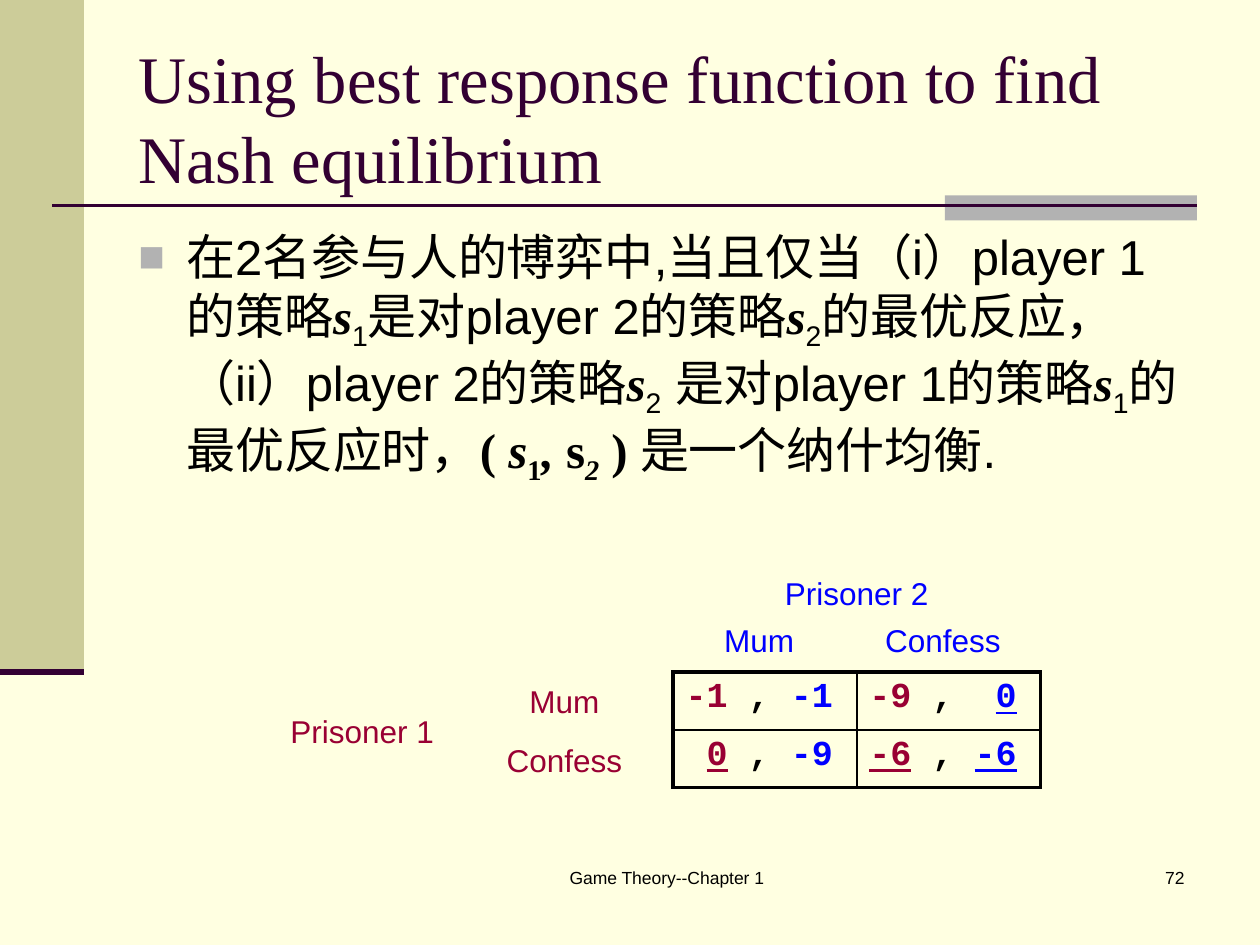
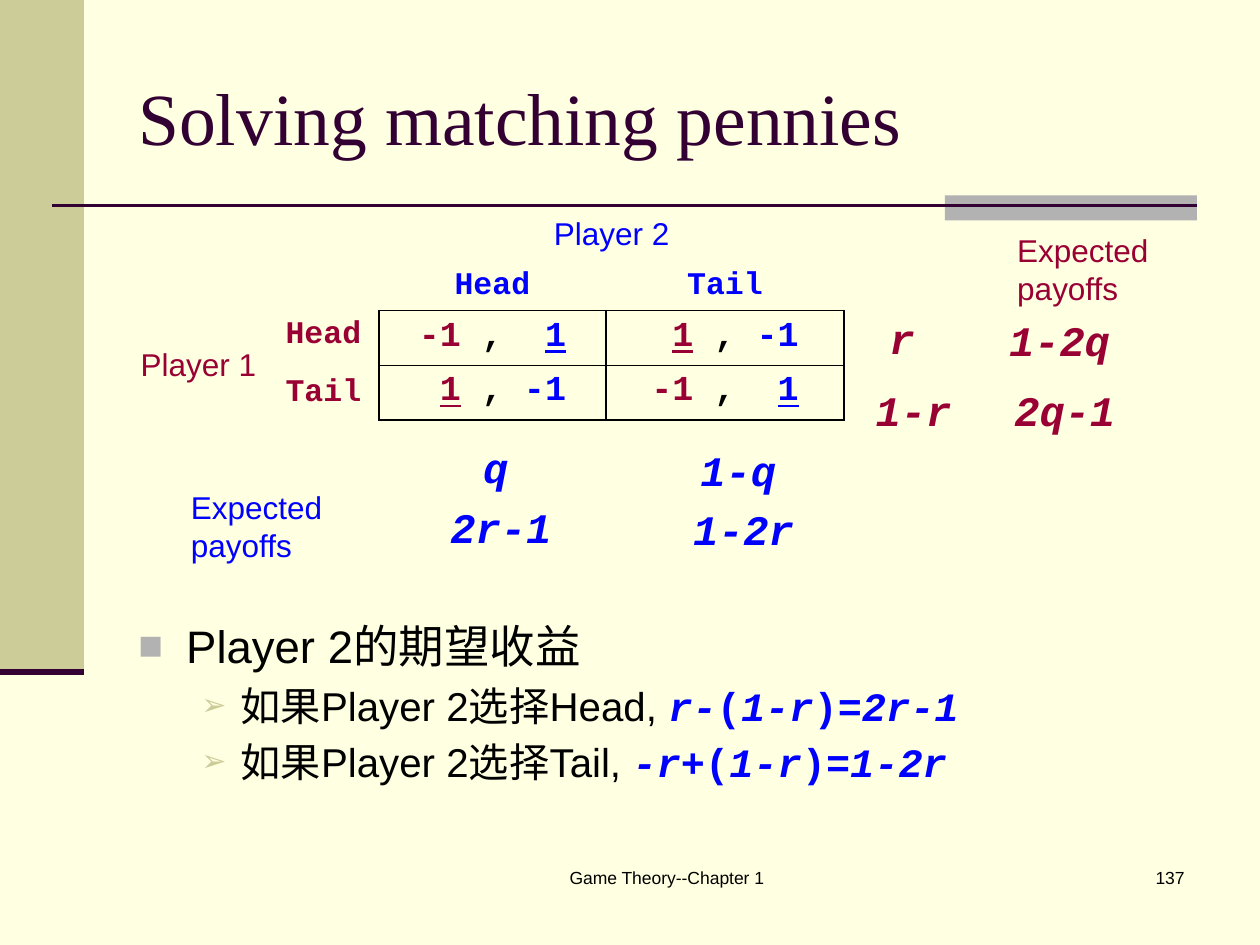
from collections import namedtuple
from lxml.etree import SubElement
from pptx import Presentation
from pptx.dml.color import RGBColor
from pptx.enum.shapes import MSO_CONNECTOR, MSO_SHAPE
from pptx.enum.text import MSO_ANCHOR, PP_ALIGN
from pptx.oxml.ns import qn
from pptx.util import Inches, Pt

IVORY = RGBColor(0xFF, 0xFF, 0xE1)
KHAKI = RGBColor(0xCC, 0xCC, 0x99)
SILVER = RGBColor(0xB2, 0xB2, 0xB2)
PLUM = RGBColor(0x33, 0x00, 0x33)
BLACK = RGBColor(0x00, 0x00, 0x00)
CRIMSON = RGBColor(0x99, 0x00, 0x33)
BLUE = RGBColor(0x00, 0x00, 0xFF)

SANS, SERIF, MONO = "Arial", "Times New Roman", "Courier New"
COLUMNS, ROWS = 120, 90
CELL = Inches(10) / COLUMNS
NO_STYLE = "{2D5ABB26-0587-4C30-8999-92F81FD0307C}"
LABEL_HEIGHT = 4.8

SYMBOL = dict(font=SERIF, bold=True, italic=True)
STRONG = dict(font=SERIF, bold=True)
SUBSCRIPT = dict(baseline=-25)
FORMULA = dict(font=MONO, color=BLUE, bold=True, italic=True)
UPRIGHT = dict(FORMULA, italic=False)

Box = namedtuple("Box", "left top width height")
Bullet = namedtuple("Bullet", "mark color percent margin indent")
SQUARE = Bullet("■", SILVER, 90, 0.38, -0.38)
ARROW = Bullet("➢", KHAKI, 75, 0.81, -0.31)

TITLE = Box(12, 3.6, 102, 15)


def inside(box, left, top, width, height):
    return Box(box.left + left, box.top + top, width, height)


def lengths(box):
    return [round(value * CELL) for value in box]


def write(paragraph, spans, size=18, font=SANS, color=BLACK, bold=False, italic=False,
          underline=False, baseline=0, align=PP_ALIGN.LEFT):
    base = dict(size=size, font=font, color=color, bold=bold, italic=italic,
                underline=underline, baseline=baseline)
    paragraph.alignment = align
    for text, changes in [(spans, {})] if isinstance(spans, str) else spans:
        style = {**base, **changes}
        span = paragraph.add_run()
        span.text = text
        span.font.size = Pt(style["size"])
        span.font.name = style["font"]
        span.font.color.rgb = style["color"]
        span.font.bold = style["bold"]
        span.font.italic = style["italic"]
        span.font.underline = style["underline"]
        if style["baseline"]:
            span.font._element.set("baseline", str(style["baseline"] * 1000))


def add_text(page, box, spans, anchor=MSO_ANCHOR.TOP, **style):
    frame = page.shapes.add_textbox(*lengths(box)).text_frame
    frame.word_wrap = True
    frame.vertical_anchor = anchor
    write(frame.paragraphs[0], spans, **style)
    return frame


def add_bullet(paragraph, bullet):
    properties = paragraph._p.get_or_add_pPr()
    properties.set("marL", str(Inches(bullet.margin)))
    properties.set("indent", str(Inches(bullet.indent)))
    color = SubElement(properties, qn("a:buClr"))
    SubElement(color, qn("a:srgbClr"), val=str(bullet.color))
    SubElement(properties, qn("a:buSzPct"), val=str(bullet.percent * 1000))
    SubElement(properties, qn("a:buFont"), typeface=SANS)
    SubElement(properties, qn("a:buChar"), char=bullet.mark)


def add_body(page, box, items):
    frame = add_text(page, box, [])
    for index, (bullet, size, spans) in enumerate(items):
        paragraph = frame.add_paragraph() if index else frame.paragraphs[0]
        if index:
            paragraph.space_before = Pt(size * 0.2)
        add_bullet(paragraph, bullet)
        write(paragraph, spans, size=size)


def add_band(page, box, color):
    band = page.shapes.add_shape(MSO_SHAPE.RECTANGLE, *lengths(box))
    band.shadow.inherit = False
    band.fill.solid()
    band.fill.fore_color.rgb = color
    band.line.fill.background()


def add_rule(page, left, right, row, width):
    ends = lengths((left, row, right, row))
    rule = page.shapes.add_connector(MSO_CONNECTOR.STRAIGHT, *ends)
    rule.line.color.rgb = PLUM
    rule.line.width = Pt(width)
    SubElement(rule._element.spPr, qn("a:effectLst"))


def add_page(deck, title, title_size, number):
    page = deck.slides.add_slide(deck.slide_layouts[6])
    page.background.fill.solid()
    page.background.fill.fore_color.rgb = IVORY
    add_band(page, Box(0, 0, 8, 64), KHAKI)
    add_band(page, Box(90, 18.6, 24, 2.4), SILVER)
    add_rule(page, 5, 114, 19.6, 1.5)
    add_rule(page, 0, 8, 64, 3.5)
    add_text(page, Box(44, 82, 39, 6), "Game Theory--Chapter 1", size=10, align=PP_ALIGN.CENTER)
    add_text(page, Box(89, 82, 25, 6), number, size=10, align=PP_ALIGN.RIGHT)
    add_text(page, TITLE, title, anchor=MSO_ANCHOR.MIDDLE, size=title_size, font=SERIF, color=PLUM)
    return page


def add_grid(page, box, widths, row_count):
    table = page.shapes.add_table(row_count, len(widths), *lengths(box)).table
    table.first_row = table.horz_banding = False
    table._tbl.tblPr.find(qn("a:tableStyleId")).text = NO_STYLE
    for column, width in zip(table.columns, widths):
        column.width = round(width * CELL)
    for cell in table.iter_cells():
        cell.fill.background()
    return table


def add_borders(cell, **widths):
    properties = cell._tc.get_or_add_tcPr()
    for index, (side, width) in enumerate(widths.items()):
        line = SubElement(properties, qn("a:ln" + side), w=str(Pt(width)))
        fill = SubElement(line, qn("a:solidFill"))
        SubElement(fill, qn("a:srgbClr"), val=str(BLACK))
        properties.insert(index, line)


def payoff_spans(pair):
    spans = []
    for payoff, color, after in zip(pair, (CRIMSON, BLUE), (" ", "")):
        value = payoff.rstrip("*")
        pad = " " * (2 - len(value))
        marked = dict(color=color, underline=payoff.endswith("*"))
        spans += [(pad, {}), (value, marked), (after, {})]
    spans.insert(3, (", ", {}))
    return [span for span in spans if span[0]]


def fill_payoffs(table, payoffs, first_row, first_column, outer, align):
    for row, pairs in enumerate(payoffs):
        for column, pair in enumerate(pairs):
            cell = table.cell(first_row + row, first_column + column)
            write(cell.text_frame.paragraphs[0], payoff_spans(pair),
                  size=20, font=MONO, bold=True, align=align)
            add_borders(cell, L=1 if column else outer, R=outer if column else 1,
                        T=1 if row else outer, B=outer if row else 1)


def prisoners_game(page, box):
    width, height = 17.5, 5.5
    left, top = 39.5, 9.9
    table = add_grid(page, inside(box, left, top, 2 * width, 2 * height), [width] * 2, 2)
    payoffs = [[("-1", "-1"), ("-9", "0*")], [("0*", "-9"), ("-6*", "-6*")]]
    fill_payoffs(table, payoffs, 0, 0, 2.25, PP_ALIGN.LEFT)
    add_text(page, inside(box, 0, 13.1, 17.9, LABEL_HEIGHT), "Prisoner 1",
             color=CRIMSON, align=PP_ALIGN.RIGHT)
    add_text(page, inside(box, 48.1, 0, 17.8, LABEL_HEIGHT), "Prisoner 2",
             color=BLUE, align=PP_ALIGN.CENTER)
    for index, move in enumerate(("Mum", "Confess")):
        add_text(page, inside(box, left - 0.3 + index * width, 4.5, 17, LABEL_HEIGHT), move,
                 color=BLUE, align=PP_ALIGN.CENTER)
        add_text(page, inside(box, 20.2, 10.3 + index * 5.6, 17.9, LABEL_HEIGHT), move,
                 color=CRIMSON, align=PP_ALIGN.CENTER)


def pennies_table(page, box):
    widths = [13.8, 10.1, 21.6, 22.7]
    table = add_grid(page, inside(box, 0, 0, sum(widths), 4 * 4.95), widths, 4)
    table.cell(0, 2).merge(table.cell(0, 3))
    table.cell(2, 0).merge(table.cell(3, 0))
    labels = [
        (0, 2, "Player 2", BLUE, MSO_ANCHOR.BOTTOM),
        (1, 2, "Head", BLUE, MSO_ANCHOR.BOTTOM),
        (1, 3, "Tail", BLUE, MSO_ANCHOR.BOTTOM),
        (2, 0, "Player 1", CRIMSON, MSO_ANCHOR.MIDDLE),
        (2, 1, "Head", CRIMSON, MSO_ANCHOR.TOP),
        (3, 1, "Tail", CRIMSON, MSO_ANCHOR.MIDDLE),
    ]
    for row, column, label, color, anchor in labels:
        cell = table.cell(row, column)
        cell.vertical_anchor = anchor
        is_move = not label.startswith("Player")
        write(cell.text_frame.paragraphs[0], label, color=color, bold=is_move,
              font=MONO if is_move else SANS,
              align=PP_ALIGN.CENTER if color == BLUE else PP_ALIGN.LEFT)
    payoffs = [[("-1", "1*"), ("1*", "-1")], [("1*", "-1"), ("-1", "1*")]]
    fill_payoffs(table, payoffs, 2, 2, 1, PP_ALIGN.CENTER)


def pennies_game(page, box):
    pennies_table(page, box)
    for left, top, color in ((83.5, 1.7, CRIMSON), (4.8, 26.2, BLUE)):
        add_text(page, inside(box, left, top, 17.3, 8.4), "Expected payoffs", color=color)
    formulas = [
        ("r", 67.4, 9.5, CRIMSON), ("1-2q", 82.4, 9.7, CRIMSON),
        ("1-r", 68.5, 16.3, CRIMSON), ("2q-1", 82.9, 16.3, CRIMSON),
        ("q", 28.7, 21.8, BLUE), ("1-q", 51.8, 22, BLUE),
        ("2r-1", 29.2, 27.5, BLUE), ("1-2r", 52.3, 27.7, BLUE),
    ]
    for formula, left, top, color in formulas:
        add_text(page, inside(box, left, top, 12.6, 6), formula, size=24,
                 align=PP_ALIGN.CENTER, **dict(FORMULA, color=color))


def strategy(number):
    return [("s", SYMBOL), (number, SUBSCRIPT)]


def best_response_page(deck):
    page = add_page(deck, "Using best response function to find Nash equilibrium", 38, "72")
    definition = [
        ("在2名参与人的博弈中,当且仅当（i）player 1的策略", {}), *strategy("1"),
        ("是对player 2的策略", {}), *strategy("2"),
        ("的最优反应， （ii）player 2的策略", {}), *strategy("2"),
        (" 是对player 1的策略", {}), *strategy("1"),
        ("的最优反应时，", {}), ("( ", STRONG), ("s", SYMBOL), ("1", {**STRONG, **SUBSCRIPT}),
        (", ", SYMBOL), ("s", STRONG), ("2", {**SYMBOL, **SUBSCRIPT}), (" ) ", STRONG),
        ("是一个纳什均衡.", {}),
    ]
    add_body(page, Box(12, 21, 102, 31.8), [(SQUARE, 28, definition)])
    prisoners_game(page, Box(24.6, 54.1, 74.5, 21))


def choice(move, left_side, right_side):
    return [(f"如果Player 2选择{move}, ", {}), (left_side, FORMULA), ("(", UPRIGHT),
            ("1-r", FORMULA), (")", UPRIGHT), (right_side, FORMULA)]


def matching_pennies_page(deck):
    page = add_page(deck, "Solving matching pennies", 42, "137")
    add_body(page, Box(12, 58.3, 102, 20.4), [
        (SQUARE, 26, "Player 2的期望收益"),
        (ARROW, 23, choice("Head", "r-", "=2r-1")),
        (ARROW, 23, choice("Tail", "-r+", "=1-2r")),
    ])
    pennies_game(page, Box(12.2, 19.7, 101, 36))


def main():
    deck = Presentation()
    deck.slide_width = round(COLUMNS * CELL)
    deck.slide_height = round(ROWS * CELL)
    best_response_page(deck)
    matching_pennies_page(deck)
    deck.save("out.pptx")


if __name__ == "__main__":
    main()
